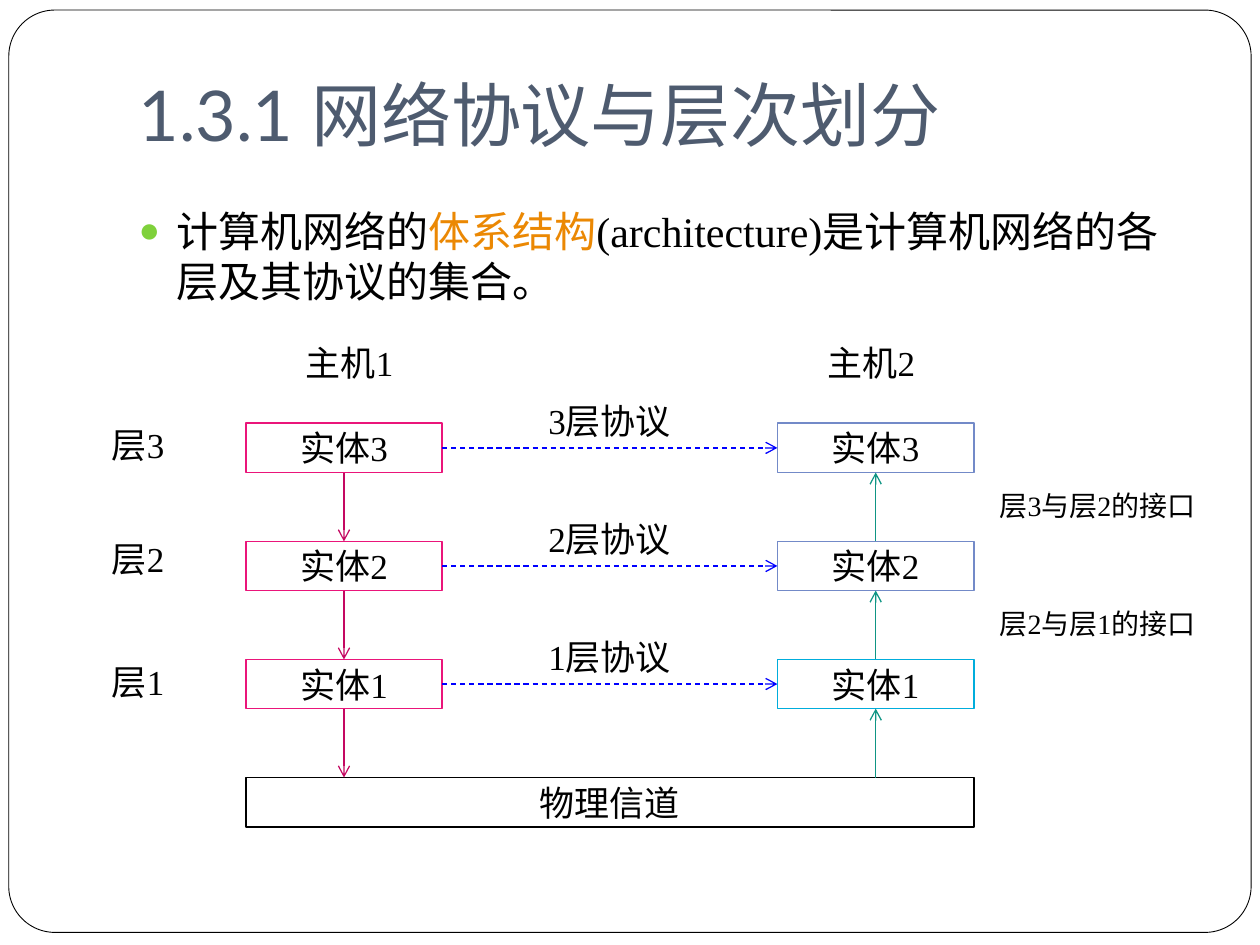
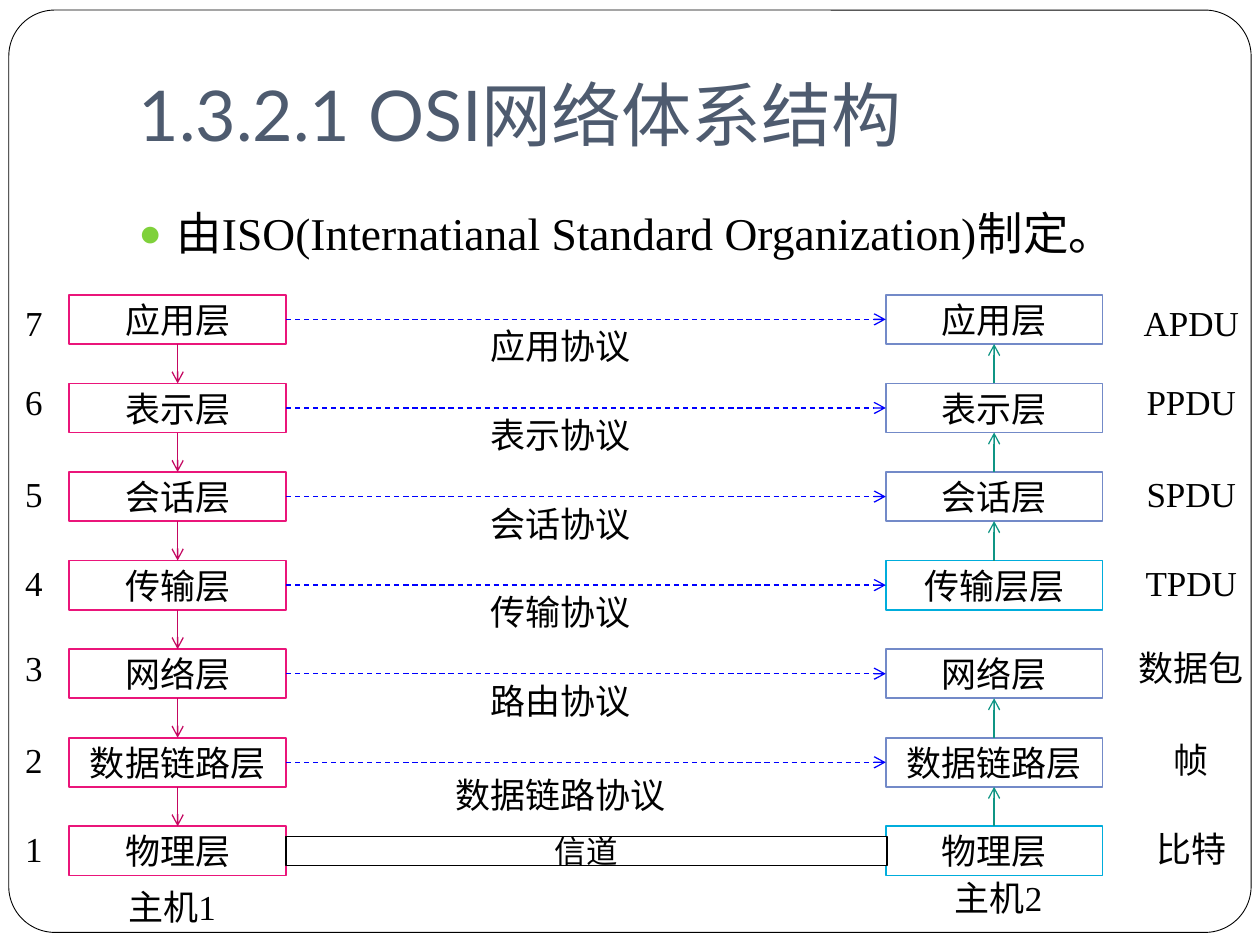
from lxml import etree
from pptx import Presentation
from pptx.dml.color import RGBColor
from pptx.enum import dml, shapes, text
from pptx.oxml import ns
from pptx.util import Inches, Pt

# Shared look
BLACK, WHITE, TITLE, BULLET, ACCENT = "000000", "FFFFFF", "4E5B6F", "7FD13B", "EB8803"
PINK, SLATE, CYAN = "EA157A", "738AC8", "00ADDC"
SEND, RECEIVE, PEER = "C40861", "0F9584", "0000FF"
SERIF, SANS = "Times New Roman", "Lato"
TOP, LEFT, BOTTOM, RIGHT = range(4)
BOX_H, LABEL_H = 0.39, 0.44


def rgb(value):
    return RGBColor.from_string(value)


def put_text(p, words, size=20, color=BLACK, font=SERIF):
    r = p.add_run()
    r.text = words
    for key, value in {"size": Pt(size), "name": font, "bold": False}.items():
        setattr(r.font, key, value)
    r.font.color.rgb = rgb(color)


def add_child(parent, tag, **attrs):
    return etree.SubElement(parent, ns.qn(tag), attrs)


def place(sp, box):
    for key, value in zip(("left", "top", "width", "height"), box):
        setattr(sp, key, Inches(value))


def panel(s, box, line, words="", size=20, width=1, kind="RECTANGLE"):
    """White outlined shape with centred text."""
    sp = s.shapes.add_shape(shapes.MSO_SHAPE[kind], *map(Inches, box))
    sp.shadow.inherit = False
    sp.fill.solid()
    sp.fill.fore_color.rgb = rgb(WHITE)
    sp.line.color.rgb = rgb(line)
    sp.line.width = Pt(width)
    if words:
        tf = sp.text_frame
        tf.vertical_anchor = text.MSO_ANCHOR.MIDDLE
        tf.paragraphs[0].alignment = text.PP_ALIGN.CENTER
        put_text(tf.paragraphs[0], words, size)
    return sp


def label(s, box, words, size=20):
    tf = s.shapes.add_textbox(*map(Inches, box)).text_frame
    tf.word_wrap = True
    tf.auto_size = text.MSO_AUTO_SIZE.SHAPE_TO_FIT_TEXT
    tf.paragraphs[0].alignment = text.PP_ALIGN.CENTER
    put_text(tf.paragraphs[0], words, size)


def labels(s, left, width, tops, words, size=20, height=LABEL_H):
    for top, word in zip(tops, words):
        label(s, (left, top, width, height), word, size)


def side_point(sp, side):
    """Middle of one side of a shape."""
    x, y = sp.left + sp.width // 2, sp.top + sp.height // 2
    return {TOP: (x, sp.top), LEFT: (sp.left, y),
            BOTTOM: (x, sp.top + sp.height), RIGHT: (sp.left + sp.width, y)}[side]


def arrow(s, start, end, color, dash=False):
    """Open arrow; each end is (shape, side) or a point (x, y) in EMU."""
    joins = [e if hasattr(e[0], "shape_id") else None for e in (start, end)]
    points = [side_point(*j) if j else e for j, e in zip(joins, (start, end))]
    c = s.shapes.add_connector(shapes.MSO_CONNECTOR.STRAIGHT, *points[0], *points[1])
    for connect, join in zip((c.begin_connect, c.end_connect), joins):
        if join:
            connect(*join)
    c.line.color.rgb = rgb(color)
    c.line.width = Pt(0.75)
    if dash:
        c.line.dash_style = dml.MSO_LINE.DASH
    add_child(c.line._get_or_add_ln(), "a:tailEnd", type="arrow")
    add_child(c._element.spPr, "a:effectLst")


def host(s, box, pitch, names, colors):
    """Column of layer boxes, top layer first; box is left, top, width."""
    left, top, width = box
    return [panel(s, (left, top + i * pitch, width, BOX_H), color, name)
            for i, (name, color) in enumerate(zip(names, colors))]


def link_hosts(s, sender, receiver, peers, gaps=()):
    """Down the sender, up the receiver, and across between peers."""
    for upper, lower in zip(sender, sender[1:]):
        arrow(s, (upper, BOTTOM), (lower, TOP), SEND)
    for i, (upper, lower) in enumerate(zip(receiver, receiver[1:])):
        if i not in gaps:
            arrow(s, (lower, TOP), (upper, BOTTOM), RECEIVE)
    for a, b in list(zip(sender, receiver))[:peers]:
        arrow(s, (a, RIGHT), (b, LEFT), PEER, dash=True)


def add_frame(s, layout):
    """Rounded page border, kept on the layout behind everything."""
    sp = panel(s, (0.07, 0.08, 9.86, 7.32), BLACK, width=0.5, kind="ROUNDED_RECTANGLE")
    sp.adjustments[0] = 0.05
    layout.shapes._spTree.insert(2, sp._element)


def heading(s, title, runs, size):
    """Title and one bulleted paragraph in the placeholders."""
    sp, body = s.shapes.title, s.placeholders[1]
    place(sp, (1, 0.3, 8.5, 1.25))
    tf = sp.text_frame
    for key, value in {"vertical_anchor": text.MSO_ANCHOR.MIDDLE, "word_wrap": True,
                       "auto_size": text.MSO_AUTO_SIZE.NONE,
                       "margin_bottom": Inches(0.1)}.items():
        setattr(tf, key, value)
    tf.paragraphs[0].alignment = text.PP_ALIGN.LEFT
    put_text(tf.paragraphs[0], title, 40, TITLE, SANS)

    place(body, (1, 1.58, 8.5, 5))
    body.text_frame.auto_size = text.MSO_AUTO_SIZE.NONE
    p = body.text_frame.paragraphs[0]
    pPr = p._p.get_or_add_pPr()
    pPr.set("marL", str(Inches(0.3)))
    pPr.set("indent", str(Inches(-0.3)))
    add_child(add_child(pPr, "a:buClr"), "a:srgbClr", val=BULLET)
    add_child(pPr, "a:buSzPct", val="85000")
    add_child(pPr, "a:buChar", char="●")
    p.space_before = Pt(0)
    for words, color in runs:
        put_text(p, words, size, color)


def protocol_slide(s):
    heading(s, "1.3.1 网络协议与层次划分",
            [("计算机网络的", BLACK), ("体系结构", ACCENT),
             ("(architecture)是计算机网络的各层及其协议的集合。", BLACK)], 24)
    # Two hosts over one physical channel
    top, pitch, width = 3.36, 0.937, 1.56
    layers = (3, 2, 1)
    names = [f"实体{n}" for n in layers]
    sender = host(s, (1.95, top, width), pitch, names, [PINK] * 3)
    receiver = host(s, (6.17, top, width), pitch, names, [SLATE, SLATE, CYAN])
    channel = panel(s, (1.95, top + 3 * pitch, 5.78, BOX_H), BLACK, "物理信道")
    link_hosts(s, sender, receiver, 3)
    down, up = side_point(sender[-1], BOTTOM), side_point(receiver[-1], BOTTOM)
    arrow(s, (sender[-1], BOTTOM), (down[0], channel.top), SEND)
    arrow(s, (up[0], channel.top), (receiver[-1], BOTTOM), RECEIVE)
    # Protocol, layer, interface and host labels
    tops = [top + i * pitch for i in range(3)]
    labels(s, 4.06, width, [t - 0.24 for t in tops], [f"{n}层协议" for n in layers])
    labels(s, 0.55, 1.09, (3.31, 4.22, 5.19), [f"层{n}" for n in layers])
    labels(s, 7.81, 1.8, [t + 0.47 for t in tops], ("层3与层2的接口", "层2与层1的接口"), 16, 0.37)
    for left, name in ((2.19, "主机1"), (6.33, "主机2")):
        label(s, (left, 2.66, 1.17, LABEL_H), name)


def osi_slide(s):
    heading(s, "1.3.2.1 OSI网络体系结构",
            [("由ISO(Internatianal Standard Organization)制定。", BLACK)], 26)
    # Seven layers on each host
    top, pitch, width = 2.34, 0.703, 1.72
    names = ["应用层", "表示层", "会话层", "传输层", "网络层", "数据链路层", "物理层"]
    far_names = [n.replace("传输层", "传输层层") for n in names]
    far_colors = [CYAN if n in ("传输层", "物理层") else SLATE for n in names]
    sender = host(s, (0.55, top, width), pitch, names, [PINK] * 7)
    receiver = host(s, (7.03, top, width), pitch, far_names, far_colors)
    link_hosts(s, sender, receiver, 6, gaps=(3,))
    panel(s, (2.27, 6.64, 4.77, 0.23), BLACK, "信道", 18)
    # Protocols under the dashed arrows
    labels(s, 3.51, 1.88, (2.53, 3.23, 3.94, 4.64, 5.34, 6.09),
           ("应用协议", "表示协议", "会话协议", "传输协议", "路由协议", "数据链路协议"))
    # Layer numbers and data units
    tops = (2.34, 2.97, 3.7, 4.41, 5.08, 5.81, 6.52)
    labels(s, -0.16, 0.86, tops, "7654321")
    labels(s, 8.91, 1.09, tops, ("APDU", "PPDU", "SPDU", "TPDU", "数据包", "帧", "比特"))
    for left, y, name in ((0.78, 6.98, "主机1"), (7.34, 6.91, "主机2")):
        label(s, (left, y, 1.17, LABEL_H), name)


def main():
    prs = Presentation()
    prs.slide_width, prs.slide_height = Inches(10), Inches(7.5)
    layout = prs.slide_layouts[1]
    for i, build in enumerate((protocol_slide, osi_slide)):
        s = prs.slides.add_slide(layout)
        if i == 0:
            add_frame(s, layout)
        build(s)
    prs.save("out.pptx")


if __name__ == "__main__":
    main()
